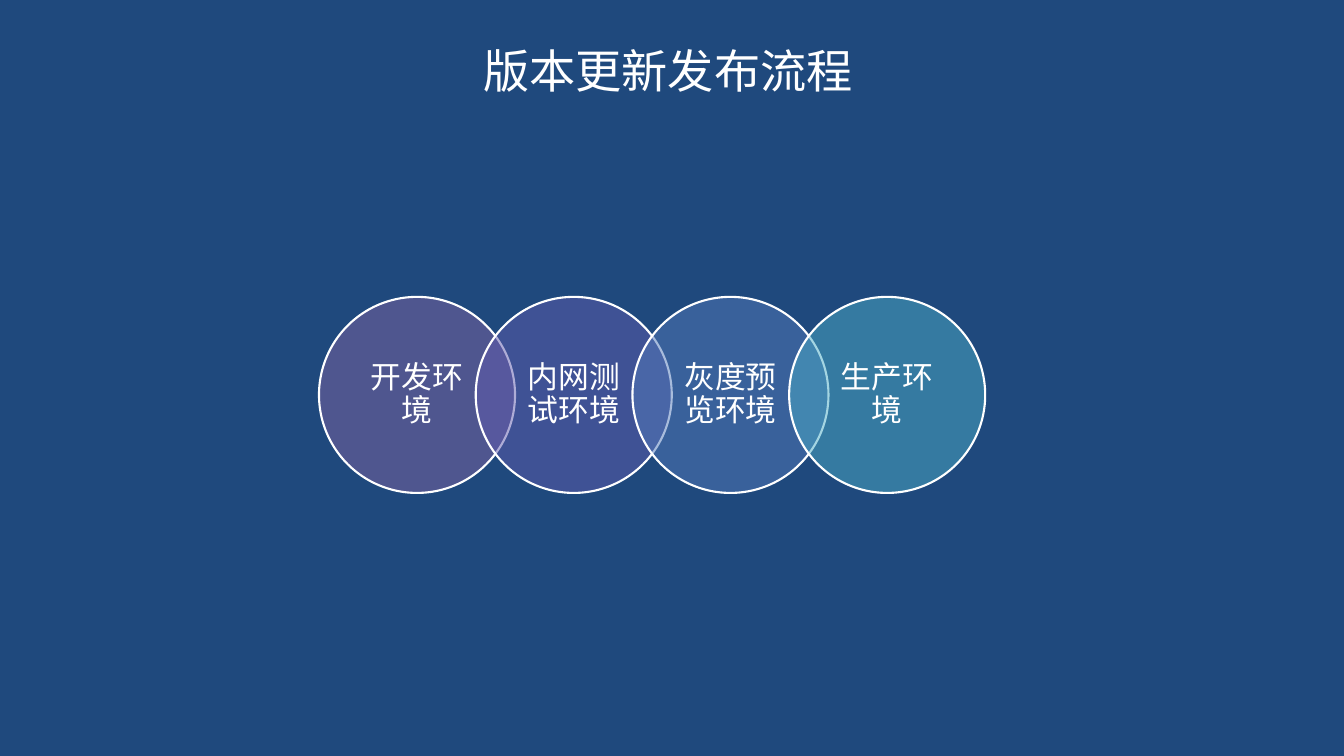
from lxml import etree
from pptx import Presentation
from pptx.dml.color import RGBColor
from pptx.enum.shapes import MSO_SHAPE
from pptx.enum.text import MSO_ANCHOR, PP_ALIGN
from pptx.oxml.ns import qn
from pptx.util import Pt

PX = 9144  # 100 px to the inch
FONT = "Noto Sans CJK SC"
WHITE = "FFFFFF"
OVAL = MSO_SHAPE.OVAL
CENTER = PP_ALIGN.CENTER
TOP, MIDDLE = MSO_ANCHOR.TOP, MSO_ANCHOR.MIDDLE


def color(value):
    return RGBColor.from_string(value)


def add_label(box, text, size, spacing, anchor, inset_y):
    left, top, width, height = (n * PX for n in box)
    frame = slide.shapes.add_textbox(left, top, width, height).text_frame
    frame.word_wrap = True
    frame.vertical_anchor = anchor
    frame.margin_left = frame.margin_right = 21 * PX
    frame.margin_top = frame.margin_bottom = inset_y * PX
    paragraph = frame.paragraphs[0]
    paragraph.alignment = CENTER
    paragraph.line_spacing = spacing
    run = paragraph.add_run()
    run.text = text
    run.font.size = Pt(size)
    run.font.color.rgb = color(WHITE)
    run.font.name = FONT
    etree.SubElement(run.font._element, qn("a:ea"), typeface=FONT)


prs = Presentation()
prs.slide_width = 2667 * PX
prs.slide_height = 1500 * PX
slide = prs.slides.add_slide(prs.slide_layouts[6])
background = slide.background.fill
background.solid()
background.fore_color.rgb = color("1F497D")

# Title
add_label((26, 18, 2599, 168), "版本更新发布流程", 66, 1.5, TOP, 11)

# Chain of overlapping release stages
stages = [
    ("开发环境", "8064A2"),
    ("内网测试环境", "5F5BAE"),
    ("灰度预览环境", "537ABA"),
    ("生产环境", "4BACC6"),
]
first_left, stage_top, diameter, step = 633, 589, 389, 311
label_inset, label_side = 57, 275

for i, (stage, tint) in enumerate(stages):
    left = first_left + i * step
    circle = slide.shapes.add_shape(
        OVAL, left * PX, stage_top * PX, diameter * PX, diameter * PX)
    circle.shadow.inherit = False
    circle.fill.solid()
    circle.fill.fore_color.rgb = color(tint)
    # Half-transparent fill
    rgb = circle.fill._xPr.find(qn("a:solidFill")).find(qn("a:srgbClr"))
    etree.SubElement(rgb, qn("a:alpha"), val="50000")
    circle.line.color.rgb = color(WHITE)
    circle.line.width = Pt(3)

    label_box = (left + label_inset, stage_top + label_inset,
                 label_side, label_side)
    add_label(label_box, stage, 44, 0.9, MIDDLE, 6)

prs.save("out.pptx")
